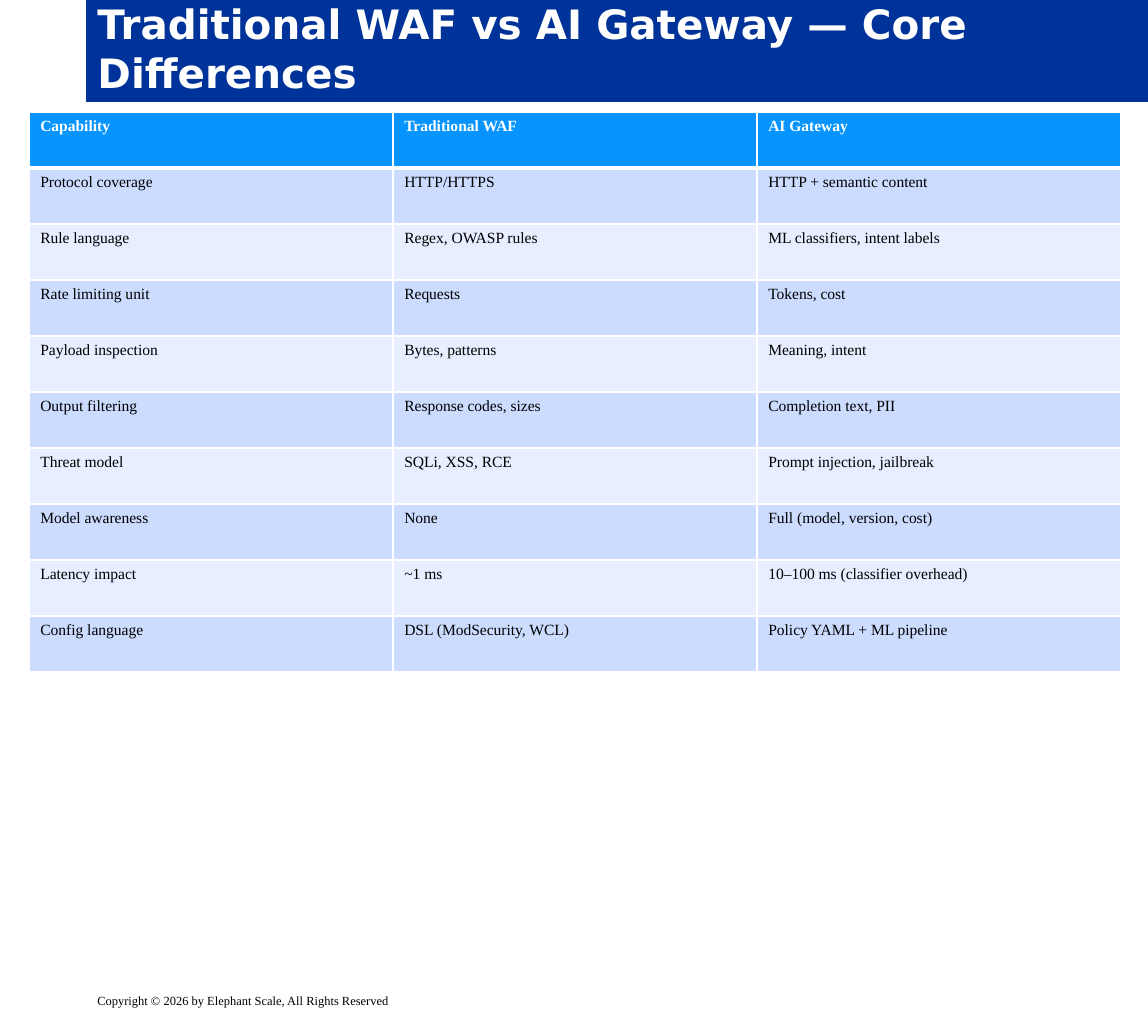
from lxml import etree
from pptx import Presentation
from pptx import util as u
from pptx.dml.color import RGBColor
from pptx.enum import text
from pptx.oxml import ns

NAVY = RGBColor(0x00, 0x33, 0x99)
HEADER_BLUE = RGBColor(0x07, 0x94, 0xFF)
BAND_DARK = RGBColor(0xCC, 0xDC, 0xFF)
BAND_LIGHT = RGBColor(0xE7, 0xEE, 0xFF)
WHITE = RGBColor(0xFF, 0xFF, 0xFF)
BLACK = RGBColor(0x00, 0x00, 0x00)

TITLE_FONT = {"name": "DejaVu Sans", "size": u.Pt(26), "bold": True}
HEADER_FONT = {"name": "Times New Roman", "size": u.Pt(10), "bold": True}
BODY_FONT = {**HEADER_FONT, "bold": False}
FOOTER_FONT = {**BODY_FONT, "size": u.Pt(8)}

ROWS = [
    ("Capability", "Traditional WAF", "AI Gateway"),
    ("Protocol coverage", "HTTP/HTTPS", "HTTP + semantic content"),
    ("Rule language", "Regex, OWASP rules", "ML classifiers, intent labels"),
    ("Rate limiting unit", "Requests", "Tokens, cost"),
    ("Payload inspection", "Bytes, patterns", "Meaning, intent"),
    ("Output filtering", "Response codes, sizes", "Completion text, PII"),
    ("Threat model", "SQLi, XSS, RCE", "Prompt injection, jailbreak"),
    ("Model awareness", "None", "Full (model, version, cost)"),
    ("Latency impact", "~1 ms", "10–100 ms (classifier overhead)"),
    ("Config language", "DSL (ModSecurity, WCL)", "Policy YAML + ML pipeline"),
]


def write(tf, words, font, color):
    p = tf.paragraphs[0]
    p.alignment = text.PP_ALIGN.LEFT
    r = p.add_run()
    r.text = words
    for name, value in font.items():
        setattr(r.font, name, value)
    r.font.color.rgb = color


def add_title(s, box, words):
    sp = s.shapes.title
    for name, value in zip(("left", "top", "width", "height"), box):
        setattr(sp, name, u.Inches(value))
    sp.fill.solid()
    sp.fill.fore_color.rgb = NAVY
    tf = sp.text_frame
    tf.word_wrap = True
    tf.auto_size = text.MSO_AUTO_SIZE.NONE
    tf.vertical_anchor = text.MSO_ANCHOR.BOTTOM
    write(tf, words, TITLE_FONT, WHITE)


def add_footer(s, box, words):
    tf = s.shapes.add_textbox(*map(u.Inches, box)).text_frame
    tf.word_wrap = True
    write(tf, words, FOOTER_FONT, BLACK)


def set_borders(cell, widths):
    tcPr = cell._tc.get_or_add_tcPr()
    for side, width in widths.items():
        ln = etree.SubElement(tcPr, ns.qn(f"a:ln{side}"), w=str(u.Pt(width)))
        fill = etree.SubElement(ln, ns.qn("a:solidFill"))
        etree.SubElement(fill, ns.qn("a:srgbClr"), val=str(WHITE))


def add_comparison(s, box, rows):
    frame = s.shapes.add_table(len(rows), len(rows[0]), *map(u.Inches, box))
    for i, row in enumerate(rows):
        header = i == 0
        band = HEADER_BLUE if header else BAND_DARK if i % 2 else BAND_LIGHT
        borders = {"L": 1, "R": 1, "T": 3 if i == 1 else 1, "B": 3 if header else 1}
        for j, words in enumerate(row):
            cell = frame.table.cell(i, j)
            set_borders(cell, borders)
            cell.fill.solid()
            cell.fill.fore_color.rgb = band
            write(cell.text_frame, words,
                  HEADER_FONT if header else BODY_FONT, WHITE if header else BLACK)


def main():
    prs = Presentation()
    prs.slide_width, prs.slide_height = u.Inches(10.25), u.Inches(9.07)
    s = prs.slides.add_slide(prs.slide_layouts[5])
    add_title(s, (0.77, 0, 9.48, 0.91), "Traditional WAF vs AI Gateway — Core Differences")
    add_footer(s, (0.77, 8.82, 9.48, 0.25),
               "Copyright © 2026 by Elephant Scale, All Rights Reserved")
    add_comparison(s, (0.26, 1, 9.75, 5), ROWS)
    prs.save("out.pptx")


if __name__ == "__main__":
    main()
